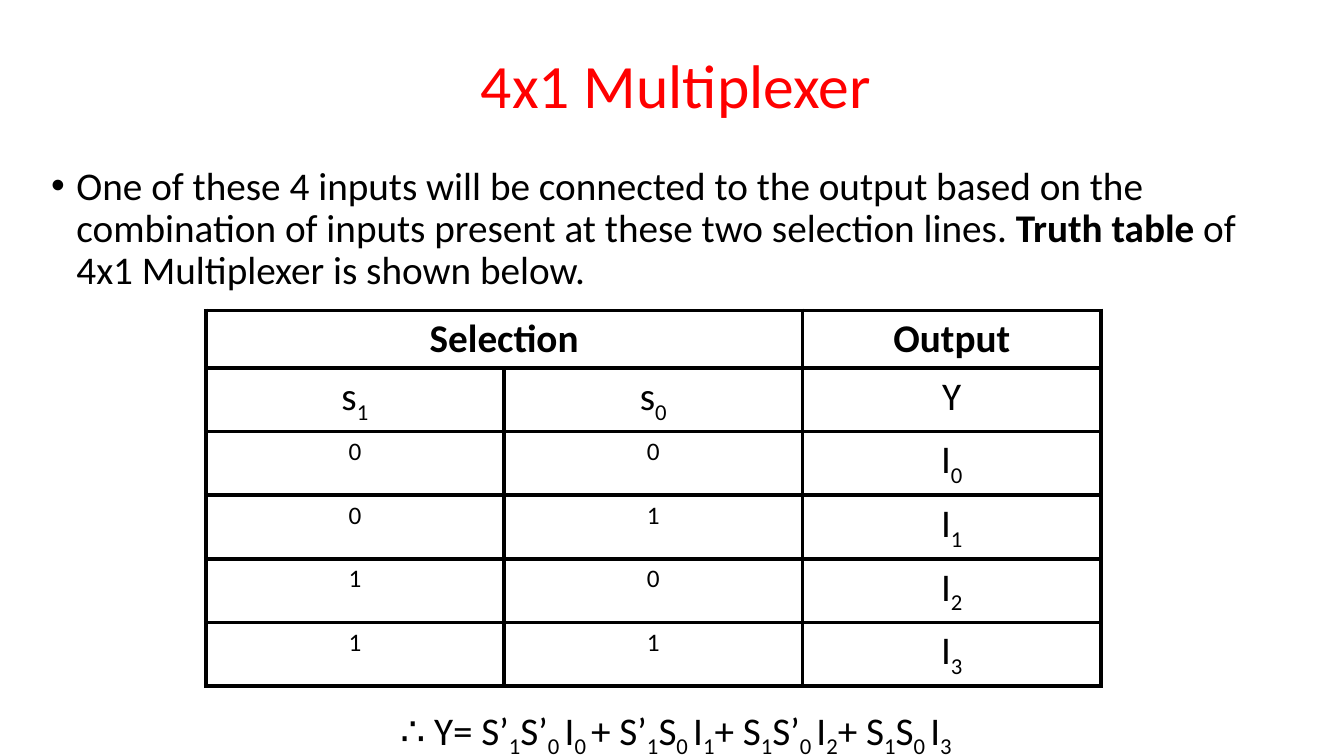
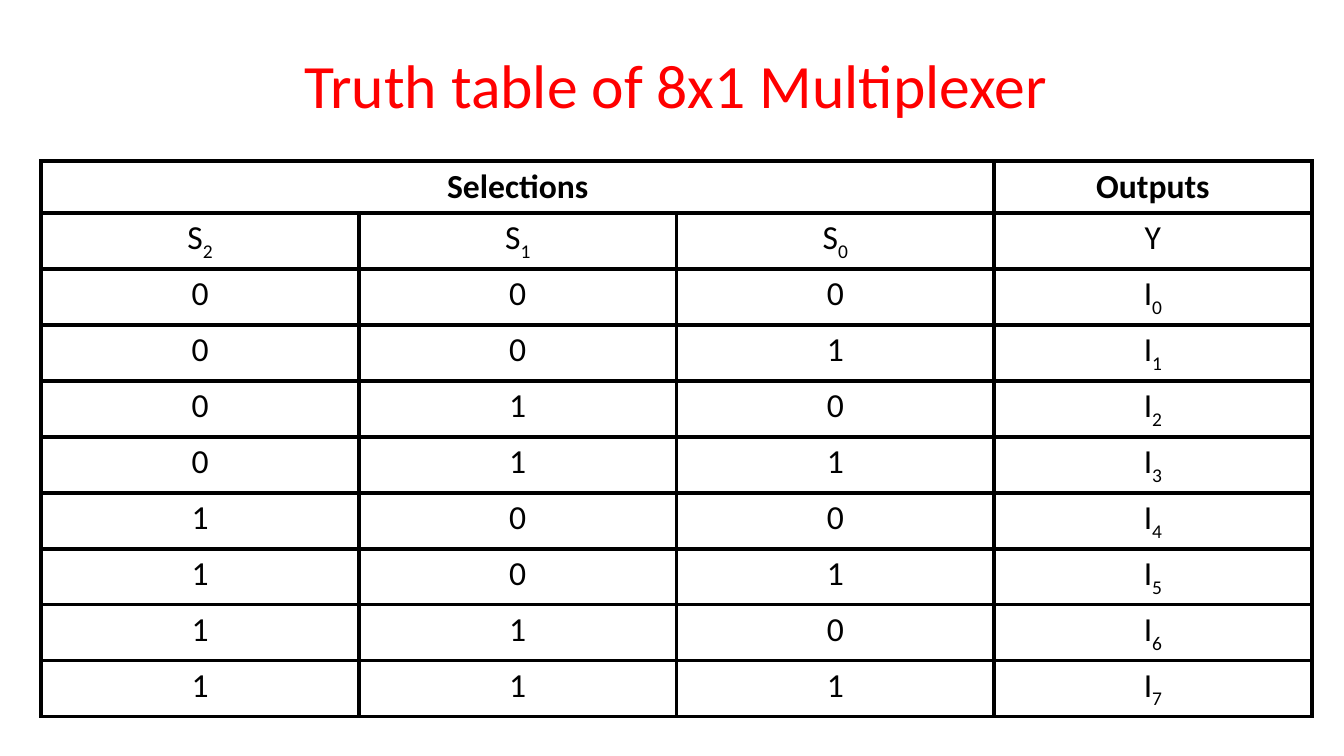
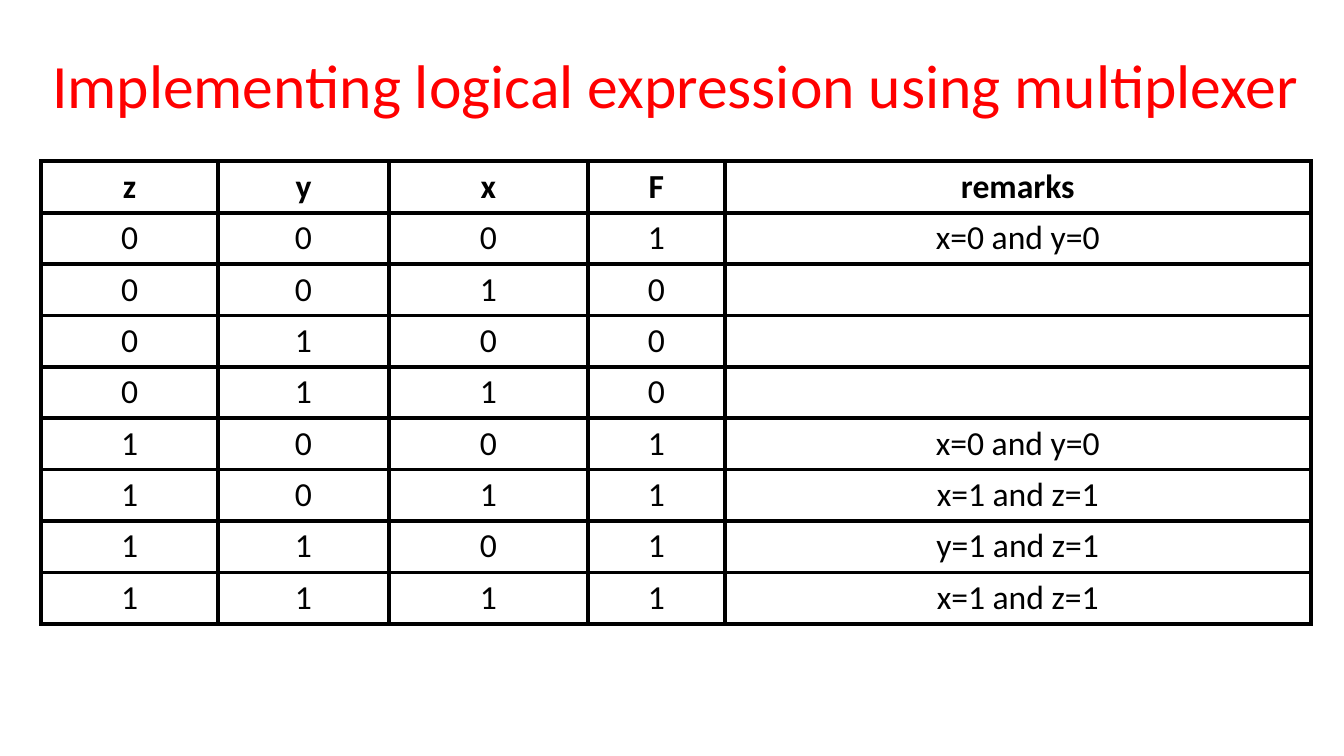
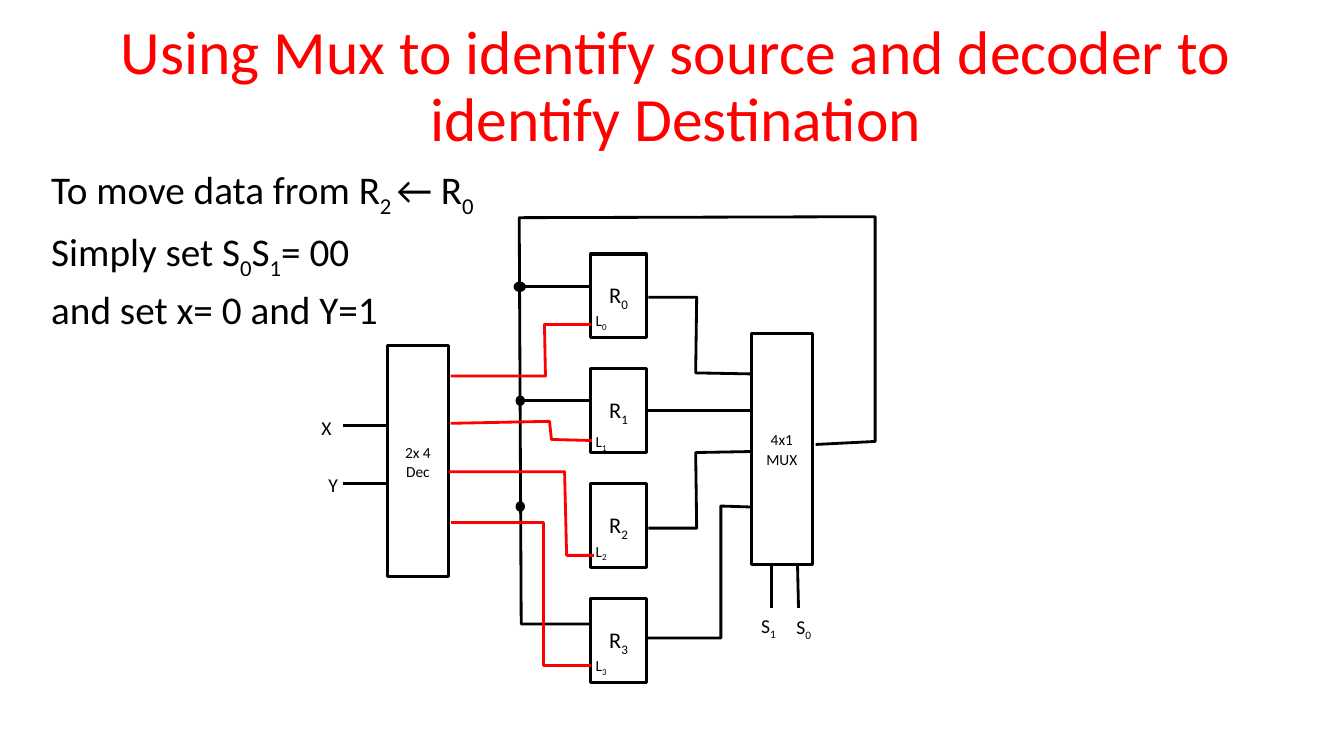
import itertools

import pptx
import pptx.dml.color
import pptx.enum.shapes
import pptx.enum.text
import pptx.oxml
import pptx.oxml.ns
import pptx.util

CELL = pptx.util.Inches(0.01)
COLUMNS, ROWS = 1333, 750
LEFT, WIDTH = 41, 1259
TITLE_TOP, BODY_TOP = 15, 160
BLACK, RED = "000000", "FF0000"
CENTER = pptx.enum.text.PP_ALIGN.CENTER
MIDDLE = pptx.enum.text.MSO_ANCHOR.MIDDLE
SHAPE = pptx.enum.shapes.MSO_SHAPE
STRAIGHT = pptx.enum.shapes.MSO_CONNECTOR.STRAIGHT
NAMESPACE = pptx.oxml.ns.nsdecls("a")
BODY = {"line_spacing": 0.9}
CENTERED_BODY = {"line_spacing": 0.9, "alignment": CENTER}
LABEL = {"line_spacing": 1.07, "space_after": pptx.util.Pt(8)}
CENTERED_LABEL = {**LABEL, "alignment": CENTER}


def colour(code):
    return pptx.dml.color.RGBColor.from_string(code)


def write(frame, lines, size, layout, ink=BLACK, bullet=False):
    frame.word_wrap = True
    for number, line in enumerate(lines):
        paragraph = frame.paragraphs[0] if number == 0 else frame.add_paragraph()
        if bullet:
            properties = paragraph._p.get_or_add_pPr()
            properties.set("marL", "228600")
            properties.set("indent", "-228600")
            for mark in ('buFont {} typeface="Arial"', 'buChar {} char="•"'):
                properties.append(pptx.oxml.parse_xml(f"<a:{mark.format(NAMESPACE)}/>"))
        for name, value in layout.items():
            setattr(paragraph, name, value)
        if number:
            paragraph.space_before = pptx.util.Pt(10)
        for strong, phrase in enumerate(line.split("*")):
            for lowered, piece in enumerate(phrase.split("_")):
                if not piece:
                    continue
                run = paragraph.add_run()
                run.text = piece
                look = {"name": "Calibri", "size": pptx.util.Pt(size), "bold": strong % 2 == 1}
                for name, value in look.items():
                    setattr(run.font, name, value)
                run.font.color.rgb = colour(ink)
                if lowered % 2:
                    run._r.get_or_add_rPr().set("baseline", "-25000")


deck = pptx.Presentation()
deck.slide_width, deck.slide_height = COLUMNS * CELL, ROWS * CELL

titles = [
    "4x1 Multiplexer",
    "Truth table of 8x1 Multiplexer",
    "Implementing logical expression using multiplexer",
    "Using Mux to identify source and decoder to identify Destination",
]
slides = []
for title in titles:
    slide = deck.slides.add_slide(deck.slide_layouts[6])
    heading = slide.shapes.add_textbox(LEFT * CELL, TITLE_TOP * CELL, WIDTH * CELL, (BODY_TOP - TITLE_TOP) * CELL)
    heading.text_frame.vertical_anchor = MIDDLE
    write(heading.text_frame, [title], 44, CENTERED_BODY, RED)
    slides.append(slide)
four_way, eight_way, expression, transfer = slides

introduction = [
    "One of these 4 inputs will be connected to the output based on the combination of inputs "
    "present at these two selection lines. *Truth table* of 4x1 Multiplexer is shown below."
]
formula = ["∴ Y= S’_1_S’_0 _I_0 _+ S’_1_S_0 _I_1_+ S_1_S’_0 _I_2_+ S_1_S_0 _I_3_"]
instructions = ["To move data from R_2 _← R_0_", "Simply set S_0_S_1_= 00", "and set x= 0 and Y=1"]
for slide, lines, top, height, layout, bullet in [
    (four_way, introduction, BODY_TOP, 140, BODY, True),
    (four_way, formula, 696, 54, CENTERED_BODY, False),
    (transfer, instructions, BODY_TOP, 571, BODY, False),
]:
    passage = slide.shapes.add_textbox(LEFT * CELL, top * CELL, WIDTH * CELL, height * CELL)
    write(passage.text_frame, lines, 28, layout, bullet=bullet)

four_rows = [["*Selection*", "", "*Output*"], ["s_1_", "s_0_", "Y"]]
eight_rows = [["*Selections*", "", "", "*Outputs*"], ["S_2_", "S_1_", "S_0_", "Y"]]
for rows, inputs in [(four_rows, 2), (eight_rows, 3)]:
    for index, bits in enumerate(itertools.product("01", repeat=inputs)):
        rows.append([*bits, f"I_{index}_"])

remarks = ["x=0 and y=0", "", "", "", "x=0 and y=0", "x=1 and z=1", "y=1 and z=1", "x=1 and z=1"]
expression_rows = [["*z*", "*y*", "*x*", "*F*", "*remarks*"]]
for bits, remark in zip(itertools.product("01", repeat=3), remarks):
    expression_rows.append([*bits, "1" if remark else "0", remark])

for slide, rows, left, top, widths, header, row_height, size, bit_size, span in [
    (four_way, four_rows, 204, 308, [296] * 3, 57, 63, 28, 18, 2),
    (eight_way, eight_rows, LEFT, BODY_TOP, [315] * 4, 51, 55, 24, 24, 3),
    (expression, expression_rows, LEFT, BODY_TOP, [175, 170, 197, 136, 581], 51, 51, 24, 24, 1),
]:
    heights = [header] + [row_height] * (len(rows) - 1)
    grid = slide.shapes.add_table(
        len(rows), len(widths), left * CELL, top * CELL, sum(widths) * CELL, sum(heights) * CELL
    ).table
    grid.first_row = grid.horz_banding = False
    for column, width in zip(grid.columns, widths):
        column.width = width * CELL
    for row, height in zip(grid.rows, heights):
        row.height = height * CELL
    if span > 1:
        grid.cell(0, 0).merge(grid.cell(0, span - 1))
    for row, entries in zip(grid.rows, rows):
        for cell, entry in zip(row.cells, entries):
            for side in "LRTB":
                cell._tc.get_or_add_tcPr().append(pptx.oxml.parse_xml(
                    f'<a:ln{side} {NAMESPACE} w="{pptx.util.Pt(3)}"><a:solidFill>'
                    f'<a:srgbClr val="{BLACK}"/></a:solidFill></a:ln{side}>'
                ))
            cell.fill.background()
            if entry:
                write(cell.text_frame, [entry], bit_size if entry in "01" else size, {"alignment": CENTER})

REGISTER_LEFT, REGISTER_TOP, REGISTER_STEP = 586, 252, 114
BUS, MUX_LEFT, MUX_BOTTOM, DECODER_LEFT = 515, 745, 560, 384
blocks = [
    (f"R_{index}_", REGISTER_LEFT, REGISTER_TOP + index * REGISTER_STEP, 55, 83, 16) for index in range(4)
]
blocks += [("4x1 MUX", MUX_LEFT, 331, 61, 229, 11), ("2x 4 Dec", DECODER_LEFT, 343, 61, 229, 11)]
for text, left, top, width, height, size in blocks:
    block = transfer.shapes.add_shape(SHAPE.RECTANGLE, left * CELL, top * CELL, width * CELL, height * CELL)
    block.shadow.inherit = False
    block.fill.background()
    block.line.color.rgb = colour(BLACK)
    block.line.width = pptx.util.Pt(2.25)
    block.text_frame.vertical_anchor = MIDDLE
    write(block.text_frame, [text], size, CENTERED_LABEL)

pins = [(f"L_{index}_", 581, top, 34, 26, 11) for index, top in enumerate([302, 422, 531, 645])]
pins += [
    (text, left, top, 46, 42, 14)
    for text, left, top in [("S_0_", 780, 603), ("S_1_", 745, 602), ("X", 309, 406), ("Y", 316, 463)]
]
for text, left, top, width, height, size in pins:
    pin = transfer.shapes.add_textbox(left * CELL, top * CELL, width * CELL, height * CELL)
    write(pin.text_frame, [text], size, LABEL)

for ink, route in [
    (BLACK, [(809, 441), (868, 438), (868, 215), (BUS, 216), (517, 619), (587, 619)]),
    (BLACK, [(643, 295), (691, 295), (690, 370), (MUX_LEFT, 371)]),
    (BLACK, [(643, 524), (691, 524), (690, 449), (MUX_LEFT, 448)]),
    (BLACK, [(642, 633), (715, 633), (715, 502), (MUX_LEFT, 503)]),
    (RED, [(447, 373), (541, 373), (540, 322), (586, 322)]),
    (RED, [(447, 420), (545, 418), (547, 436), (587, 437)]),
    (RED, [(445, 468), (560, 468), (562, 551), (589, 551)]),
    (RED, [(447, 518), (539, 518), (539, 660), (586, 660)]),
]:
    builder = transfer.shapes.build_freeform(*route[0], scale=CELL)
    builder.add_line_segments(route[1:], close=False)
    wire = builder.convert_to_shape()
    wire.shadow.inherit = False
    wire.fill.background()
    wire.line.color.rgb = colour(ink)
    wire.line.width = pptx.util.Pt(2)

for ends in [
    (791, MUX_BOTTOM, 792, 603),
    (765, MUX_BOTTOM, 765, 603),
    (642, 407, MUX_LEFT, 407),
    (REGISTER_LEFT, 284, BUS, 284),
    (REGISTER_LEFT, 397, BUS, 397),
    (DECODER_LEFT, 422, 340, 422),
    (DECODER_LEFT, 480, 340, 480),
]:
    lead = transfer.shapes.add_connector(STRAIGHT, *[end * CELL for end in ends])
    lead.line.color.rgb = colour(BLACK)
    lead.line.width = pptx.util.Pt(2)
    lead._element.spPr.append(pptx.oxml.parse_xml(f"<a:effectLst {NAMESPACE}/>"))

for left, top, width in [(512, 498, 8), (510, 280, 11), (512, 393, 8)]:
    junction = transfer.shapes.add_shape(SHAPE.OVAL, left * CELL, top * CELL, width * CELL, 9 * CELL)
    junction.shadow.inherit = False
    junction.fill.solid()
    junction.fill.fore_color.rgb = colour(BLACK)
    junction.line.color.rgb = colour(BLACK)
    junction.line.width = pptx.util.Pt(1)

deck.save("out.pptx")
